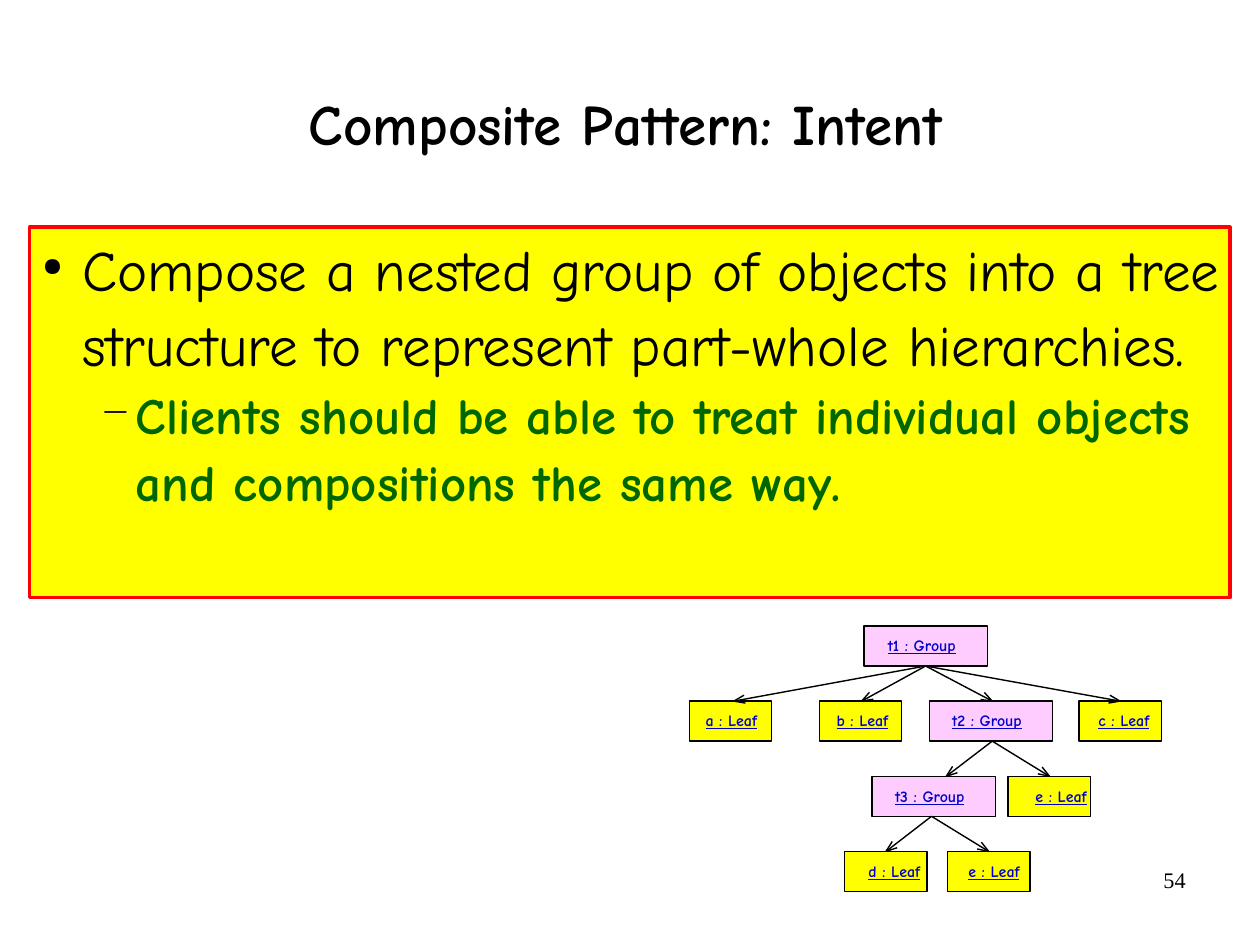
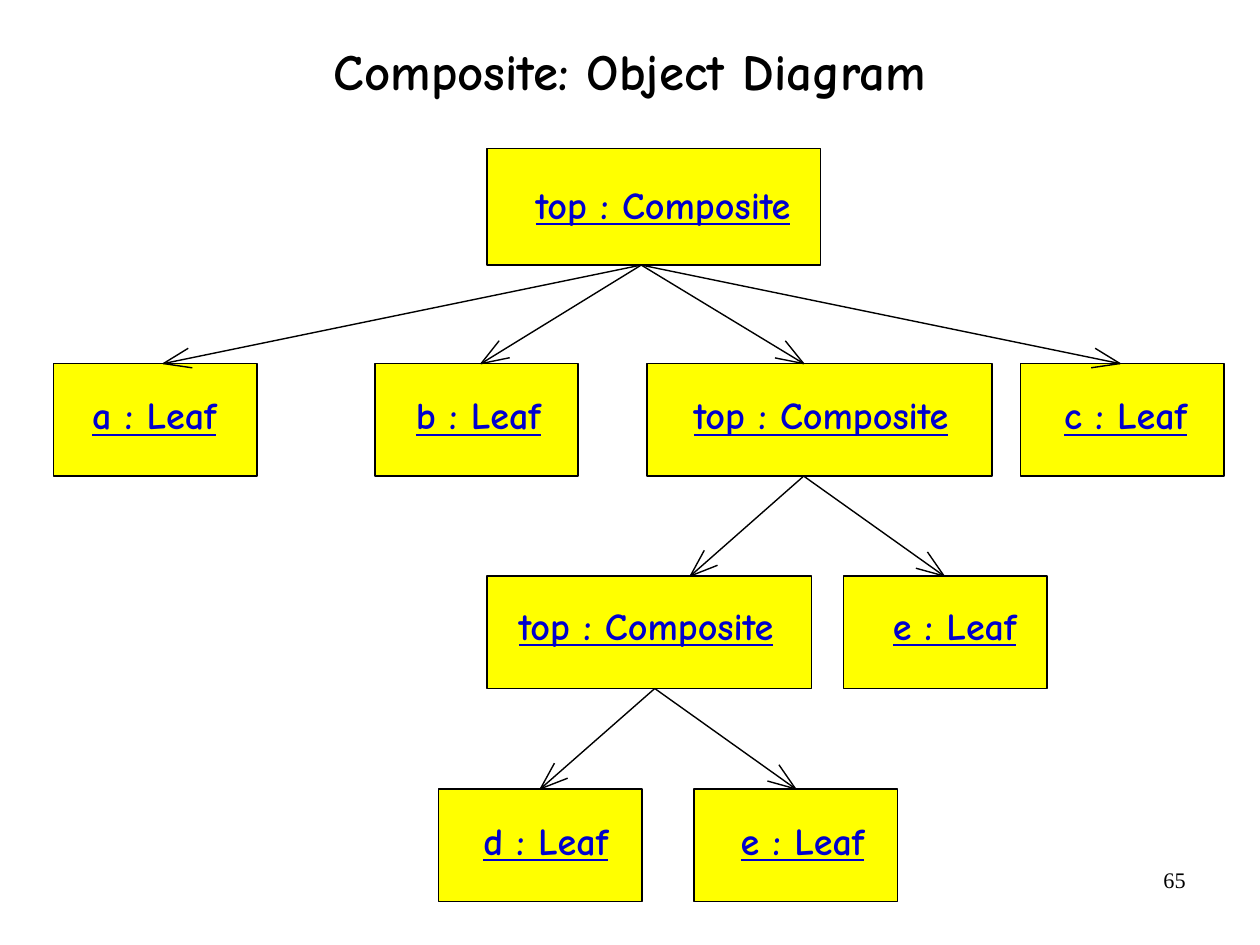
"""Build two slides on the Composite pattern with their object diagrams."""
from dataclasses import dataclass
from math import atan2, cos, radians, sin

from lxml.etree import SubElement
from pptx import Presentation
from pptx.dml.color import RGBColor
from pptx.enum.shapes import MSO_CONNECTOR, MSO_SHAPE
from pptx.enum.text import MSO_ANCHOR, PP_ALIGN
from pptx.oxml.ns import qn
from pptx.util import Cm, Pt

COLORS = {
    "ink": "000000",
    "leaf": "FFFF00",
    "group": "FFCCFF",
    "border": "FF0000",
    "stress": "006600",
    "label": "0000CC",
}
FONT = "Comic Neue"
TITLE = {"name": FONT, "bold": True}
LABEL = {"name": FONT, "bold": True, "underline": True}
OUTLINE = 0.88
BARB_ANGLE = radians(20)


@dataclass
class Node:
    """One object of a tree; all lengths are in centimetres."""
    label: str
    kind: str
    level: int
    left: float
    width: float
    indent: float
    entry: float = 0
    exit: float = 0
    parent: int = 0


@dataclass
class TreeStyle:
    """Sizes of one tree, with one value per level where they differ."""
    tops: tuple
    heights: tuple
    label_tops: tuple
    label_size: int
    barb: float


def rgb(name):
    """Return a colour of the palette."""
    return RGBColor.from_string(COLORS[name])


def style_line(line, color="ink", width=OUTLINE):
    """Give a line its colour and width."""
    line.color.rgb = rgb(color)
    line.width = Pt(width)


def set_frame(frame, margins=(0, 0, 0, 0), anchor=MSO_ANCHOR.TOP):
    """Set wrapping, margins (left, top, right, bottom) and anchor."""
    values = dict(zip(("margin_left", "margin_top", "margin_right", "margin_bottom"),
                      map(Cm, margins)))
    values.update(word_wrap=True, vertical_anchor=anchor)
    for key, value in values.items():
        setattr(frame, key, value)


def write(paragraph, text, size, font, color="ink", **layout):
    """Fill a paragraph and apply its font and layout values."""
    paragraph.text = text
    for key, value in layout.items():
        setattr(paragraph, key, value)
    for key, value in {**font, "size": Pt(size)}.items():
        setattr(paragraph.font, key, value)
    paragraph.font.color.rgb = rgb(color)


def add_text(slide, box, text, size, font, margins, anchor, **layout):
    """Add a text box with one paragraph."""
    frame = slide.shapes.add_textbox(*map(Cm, box)).text_frame
    set_frame(frame, margins, anchor)
    write(frame.paragraphs[0], text, size, font, **layout)


def add_box(slide, box, fill, line="ink", width=OUTLINE):
    """Add a filled rectangle and return it."""
    rectangle = slide.shapes.add_shape(MSO_SHAPE.RECTANGLE, *map(Cm, box))
    rectangle.shadow.inherit = False
    rectangle.fill.solid()
    rectangle.fill.fore_color.rgb = rgb(fill)
    style_line(rectangle.line, line, width)
    return rectangle


def set_bullet(paragraph, symbol, percent, indent, hanging):
    """Give a paragraph a black hanging bullet."""
    properties = paragraph._p.get_or_add_pPr()
    properties.set("marL", str(Cm(indent)))
    properties.set("indent", str(-Cm(hanging)))
    color = SubElement(properties, qn("a:buClr"))
    SubElement(color, qn("a:srgbClr"), val=COLORS["ink"])
    SubElement(properties, qn("a:buSzPct"), val=str(percent * 1000))
    SubElement(properties, qn("a:buChar"), char=symbol)


def add_intent(slide):
    """Add the framed statement of intent."""
    frame = add_box(slide, (0.66, 5.05, 26.67, 8.23), "leaf", "border", 2.25).text_frame
    set_frame(frame)
    intent, clients = frame.paragraphs[0], frame.add_paragraph()
    layout = {"alignment": PP_ALIGN.LEFT, "line_spacing": 1.1}
    set_bullet(intent, "●", 45, 1.17, 0.89)
    write(intent, "Compose a nested group of objects into a tree structure "
          "to represent part-whole hierarchies.", 36, {"name": FONT}, **layout)
    set_bullet(clients, "−", 75, 2.36, 0.79)
    write(clients, "Clients should be able to treat individual objects "
          "and compositions the same way.", 32, TITLE, "stress", level=1, **layout)


def add_arrow(slide, start, tip, barb):
    """Add a line that ends in an open head with barbs of the given length."""
    shaft = slide.shapes.add_connector(MSO_CONNECTOR.STRAIGHT, *map(Cm, start + tip))
    style_line(shaft.line)
    SubElement(shaft._element.spPr, qn("a:effectLst"))
    back = atan2(start[1] - tip[1], start[0] - tip[0])
    first, last = [(Cm(tip[0] + barb * cos(back + turn)), Cm(tip[1] + barb * sin(back + turn)))
                   for turn in (BARB_ANGLE, -BARB_ANGLE)]
    builder = slide.shapes.build_freeform(*first)
    builder.add_line_segments([tuple(map(Cm, tip)), last], close=False)
    head = builder.convert_to_shape()
    head.shadow.inherit = False
    head.fill.background()
    style_line(head.line)


def add_tree(slide, nodes, style):
    """Add the boxes of a tree and the arrows from parents to children."""
    for node in nodes:
        box = (node.left, style.tops[node.level], node.width, style.heights[node.level])
        frame = add_box(slide, box, node.kind).text_frame
        set_frame(frame, (node.indent, style.label_tops[node.level], 0, 0))
        write(frame.paragraphs[0], node.label, style.label_size, LABEL, "label",
              alignment=PP_ALIGN.LEFT, line_spacing=0.9)
    for node in nodes[1:]:
        parent = nodes[node.parent]
        start = (parent.exit, style.tops[parent.level] + style.heights[parent.level])
        add_arrow(slide, start, (node.entry, style.tops[node.level]), style.barb)


def add_slide(deck, title, title_box, title_size, number):
    """Add a blank slide with its number and title."""
    slide = deck.slides.add_slide(deck.slide_layouts[6])
    add_text(slide, (20.07, 19.13, 6.53, 1.45), number, 14, {"name": "Times New Roman"},
             (0.25, 0.13, 0.25, 0.13), MSO_ANCHOR.TOP, alignment=PP_ALIGN.RIGHT)
    add_text(slide, title_box, title, title_size, TITLE, (0, 0, 0, 0), MSO_ANCHOR.BOTTOM,
             alignment=PP_ALIGN.CENTER, line_spacing=0.88)
    return slide


def main():
    """Build and save both slides."""
    deck = Presentation()
    deck.slide_width, deck.slide_height = Cm(28), Cm(21)

    intent = add_slide(deck, "Composite Pattern: Intent", (1.3, 0, 25.2, 3.5), 36, "54")
    add_intent(intent)
    group, leaf = 2.74, 1.83
    add_tree(intent, [
        Node("t1 : Group", "group", 0, 19.2, group, 0.53, exit=20.57),
        Node("a : Leaf", "leaf", 1, 15.32, leaf, 0.36, 16.31),
        Node("b : Leaf", "leaf", 1, 18.21, leaf, 0.38, 19.15),
        Node("t2 : Group", "group", 1, 20.65, group, 0.51, 22.05, 22.05),
        Node("c : Leaf", "leaf", 1, 23.98, leaf, 0.43, 24.89),
        Node("t3 : Group", "group", 2, 19.38, group, 0.51, 21.03, 20.7, parent=3),
        Node("e : Leaf", "leaf", 2, 22.4, leaf, 0.61, 23.32, parent=3),
        Node("d : Leaf", "leaf", 3, 18.77, leaf, 0.53, 19.69, parent=5),
        Node("e : Leaf", "leaf", 3, 21.06, leaf, 0.46, 21.97, parent=5),
    ], TreeStyle(tuple(13.91 + 1.67 * level for level in range(4)),
                 (0.89,) * 4, (0.27,) * 4, 10, 0.26))

    diagram = add_slide(deck, "Composite: Object Diagram", (1.4, 0.84, 25.2, 1.4), 32, "65")
    composite, leaf = "top : Composite", 4.52
    add_tree(diagram, [
        Node(composite, "leaf", 0, 10.82, 7.42, 1.09, exit=14.25),
        Node("a : Leaf", "leaf", 1, 1.19, leaf, 0.86, 3.63),
        Node("b : Leaf", "leaf", 1, 8.33, leaf, 0.91, 10.69),
        Node(composite, "leaf", 1, 14.38, 7.67, 1.04, 17.86, 17.86),
        Node("c : Leaf", "leaf", 1, 22.68, leaf, 0.97, 24.89),
        Node(composite, "leaf", 2, 10.82, 7.21, 0.71, 15.34, 14.55, parent=3),
        Node("e : Leaf", "leaf", 2, 18.75, leaf, 1.09, 20.98, parent=3),
        Node("d : Leaf", "leaf", 3, 9.75, leaf, 0.99, 12.01, parent=5),
        Node("e : Leaf", "leaf", 3, 15.42, leaf, 1.04, 17.68, parent=5),
    ], TreeStyle((3.3, 8.08, 12.8, 17.53), (2.59, 2.5, 2.5, 2.5),
                 (0.84, 0.74, 0.7, 0.74), 24, 0.65))

    deck.save("out.pptx")


if __name__ == "__main__":
    main()
